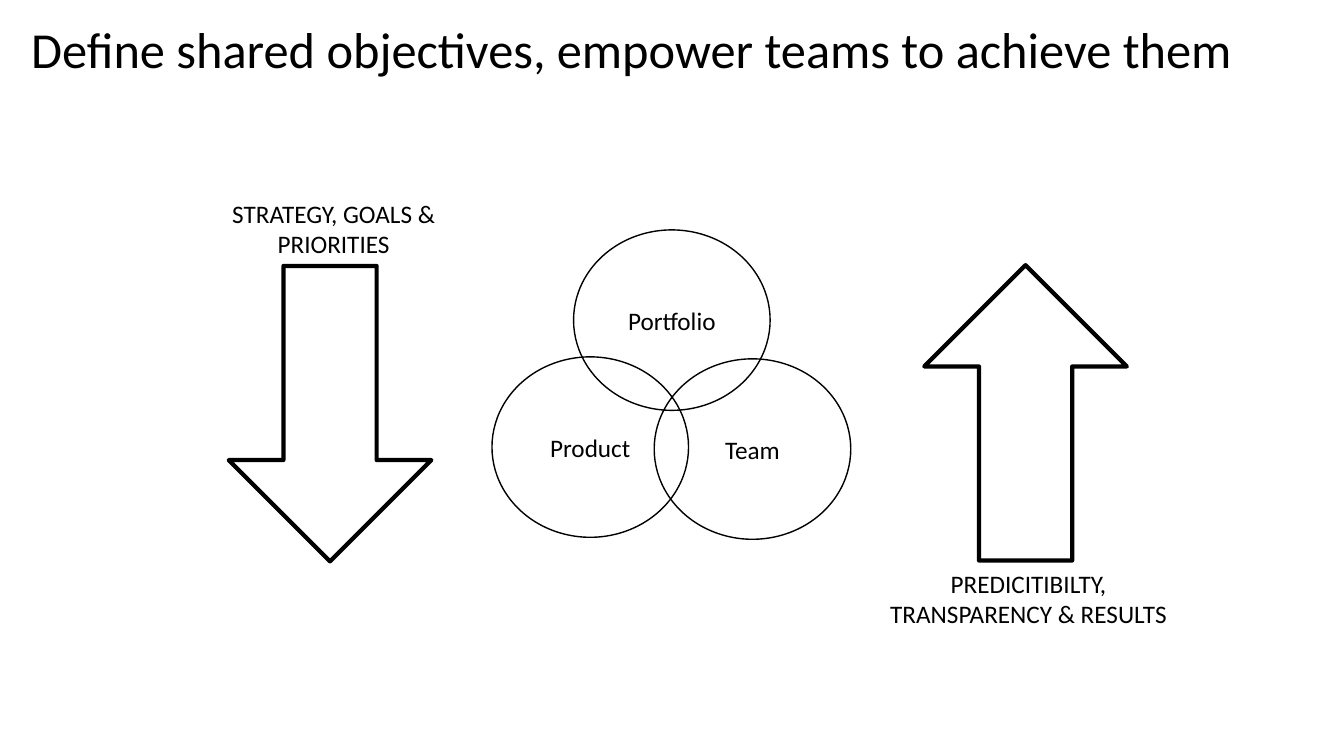
import pptx
import pptx.dml.color
import pptx.enum.shapes
import pptx.enum.text
import pptx.util

Pt = pptx.util.Pt
Shape = pptx.enum.shapes.MSO_SHAPE
Align = pptx.enum.text.PP_ALIGN
Anchor = pptx.enum.text.MSO_ANCHOR
AutoSize = pptx.enum.text.MSO_AUTO_SIZE


def color(value):
    return pptx.dml.color.RGBColor.from_string(value)


class Sketch:
    """Draws black outlined shapes and labels on the current slide."""

    font = "Calibri"
    ink = "000000"

    def __init__(self, page):
        self.page = page

    def add_text(self, shape, text, size, align, anchor):
        frame = shape.text_frame
        frame.word_wrap = True
        frame.vertical_anchor = anchor
        para = frame.paragraphs[0]
        para.alignment = align
        span = para.add_run()
        span.text = text
        span.font.name = self.font
        span.font.size = Pt(size)
        span.font.color.rgb = color(self.ink)
        return para

    def title(self, text, left, top, width, height):
        box = self.page.shapes.title
        box.left, box.top, box.width, box.height = map(Pt, (left, top, width, height))
        para = self.add_text(box, text, 36, Align.LEFT, Anchor.MIDDLE)
        para.line_spacing = 0.9
        box.text_frame.auto_size = AutoSize.NONE

    def label(self, text, left, top, width, height):
        box = self.page.shapes.add_textbox(*map(Pt, (left, top, width, height)))
        self.add_text(box, text, 18, Align.CENTER, Anchor.TOP)
        box.text_frame.auto_size = AutoSize.SHAPE_TO_FIT_TEXT

    def outline(self, kind, left, top, width, height, weight):
        shape = self.page.shapes.add_shape(kind, *map(Pt, (left, top, width, height)))
        shape.shadow.inherit = False
        shape.fill.background()
        shape.line.color.rgb = color(self.ink)
        shape.line.width = Pt(weight)
        return shape

    def arrow(self, left, top, rotation=0):
        shape = self.outline(Shape.DOWN_ARROW, left, top, 144.7, 211, 3)
        shape.adjustments[0] = 0.46
        shape.adjustments[1] = 0.5
        shape.rotation = rotation

    def circle(self, text, left, top):
        shape = self.outline(Shape.OVAL, left, top, 140.4, 128.9, 1)
        self.add_text(shape, text, 18, Align.CENTER, Anchor.MIDDLE)


def main():
    deck = pptx.Presentation()
    deck.slide_width, deck.slide_height = Pt(960), Pt(540)
    sketch = Sketch(deck.slides.add_slide(deck.slide_layouts[5]))

    sketch.title("Define shared objectives, empower teams to achieve them", 15.1, 0, 944.6, 74.9)
    sketch.arrow(163.4, 190)
    sketch.label("STRATEGY, GOALS & PRIORITIES", 151.2, 138.2, 174.2, 51)
    sketch.arrow(660.2, 189.4, rotation=180)
    sketch.label("PREDICITIBILTY, TRANSPARENCY & RESULTS", 627.8, 402.5, 213.8, 51)
    for text, left, top in (
        ("Portfolio", 409.7, 164.2),
        ("Product", 351.4, 254.9),
        ("Team", 467.3, 256.3),
    ):
        sketch.circle(text, left, top)

    deck.save("out.pptx")


if __name__ == "__main__":
    main()
